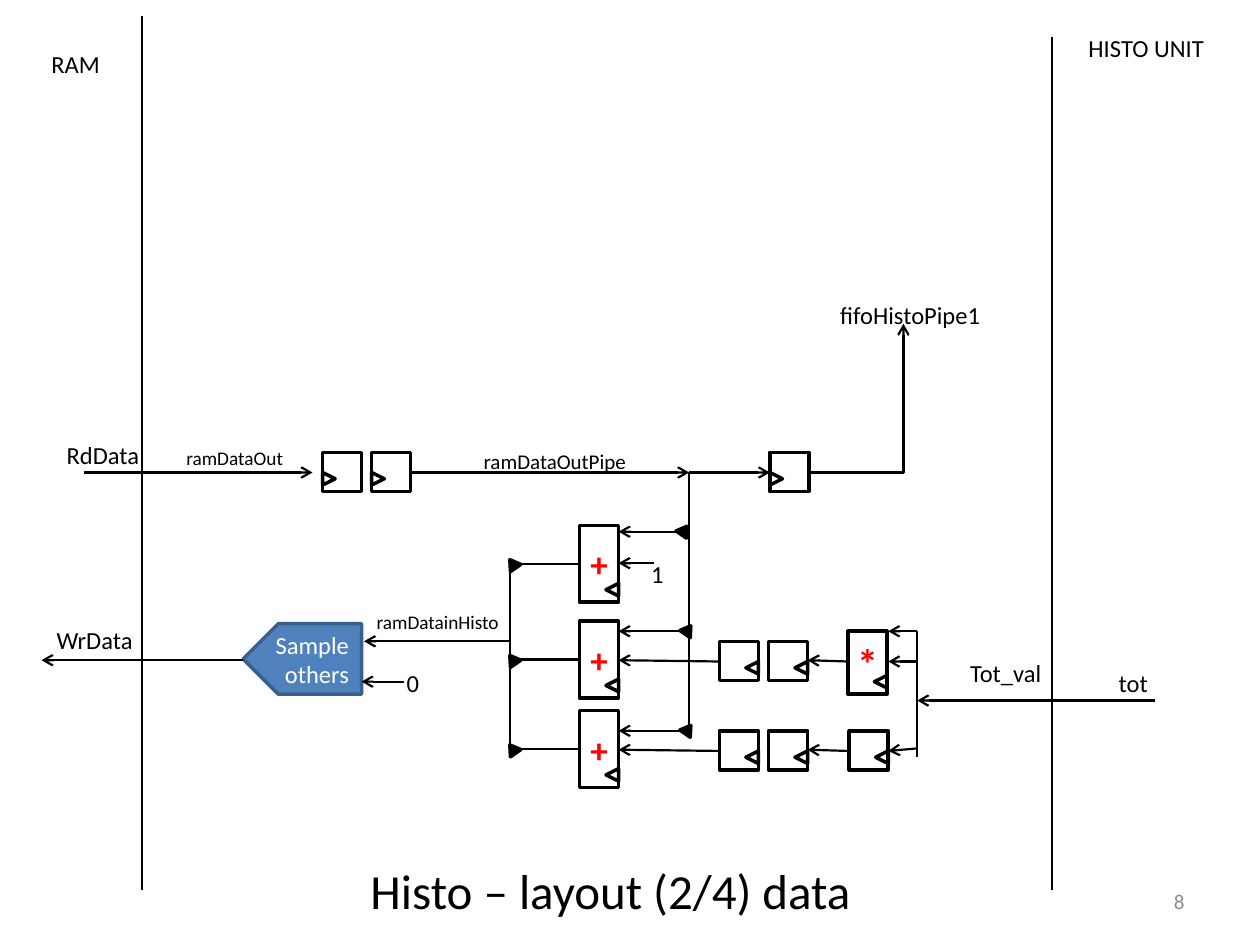
from pptx import Presentation
from pptx.dml.color import RGBColor
from pptx.enum.shapes import MSO_CONNECTOR as Connector, MSO_SHAPE as Shape
from pptx.enum.text import MSO_ANCHOR as Anchor, PP_ALIGN as Align
from pptx.oxml.ns import qn
from pptx.util import Inches, Pt
from lxml.etree import SubElement

BLACK, WHITE, RED, GREY = "000000", "FFFFFF", "FF0000", "8C8C8C"
BLUE, DARK_BLUE = "4F81BD", "3A5F8C"
BIT = 0.31
BUS_Y, OUTPUT_X, FEEDBACK_X, TOT_X = 3.75, 4.05, 5.47, 7.28
ADDER_X, ADDER_HEIGHT = 4.6, 0.61


def color(hex_text):
    return RGBColor.from_string(hex_text)


def write(shape, text, size, hex_text=BLACK, align=Align.LEFT, bold=False):
    shape.text_frame.text = text
    for paragraph in shape.text_frame.paragraphs:
        paragraph.alignment = align
        font = paragraph.font
        font.name, font.size, font.bold = "Calibri", Pt(size), bold
        font.color.rgb = color(hex_text)


def label(slide, box, text, size=14, hex_text=BLACK, align=Align.LEFT,
          anchor=Anchor.TOP, wrap=False):
    text_box = slide.shapes.add_textbox(*map(Inches, box))
    text_box.text_frame.word_wrap = wrap
    text_box.text_frame.vertical_anchor = anchor
    write(text_box, text, size, hex_text, align)


def outline(shapes, kind, box, fill=None, line=BLACK, rotation=0):
    shape = shapes.add_shape(kind, *map(Inches, box))
    shape.shadow.inherit = False
    shape.rotation = rotation
    if fill:
        shape.fill.solid()
        shape.fill.fore_color.rgb = color(fill)
    else:
        shape.fill.background()
    shape.line.color.rgb = color(line)
    shape.line.width = Pt(2)
    return shape


def wire(slide, start, end, arrow=False, kind=Connector.STRAIGHT):
    connector = slide.shapes.add_connector(kind, *map(Inches, (*start, *end)))
    connector.line.color.rgb = color(BLACK)
    connector.line.width = Pt(1.25)
    properties = connector._element.spPr
    if arrow:
        SubElement(properties.find(qn("a:ln")), qn("a:tailEnd"), type="arrow")
    SubElement(properties, qn("a:effectLst"))
    return connector


def register(slide, left, top, height=BIT, symbol=None, size=20, clock_left=False):
    shapes = slide.shapes.add_group_shape().shapes
    body = outline(shapes, Shape.RECTANGLE, (left, top, BIT, height))
    if symbol:
        frame = body.text_frame
        frame.margin_left = frame.margin_right = 0
        frame.vertical_anchor = Anchor.MIDDLE
        write(body, symbol, size, RED, Align.CENTER, True)
    clock_x = left if clock_left else left + BIT - 0.1
    outline(shapes, Shape.ISOSCELES_TRIANGLE, (clock_x, top + height - 0.15, 0.1, 0.1),
            rotation=90 if clock_left else 270)


def junction(slide, left, top, rotation):
    outline(slide.shapes, Shape.ISOSCELES_TRIANGLE, (left, top, 0.1, 0.08), BLACK,
            rotation=rotation)


def frame_region(slide):
    for x, top in ((1.13, 0.13), (8.35, 0.29)):
        wire(slide, (x, top), (x, 7.06))
    label(slide, (8.54, 0.21, 1.12, 0.34), "HISTO UNIT")
    label(slide, (0.31, 0.34, 0.59, 0.34), "RAM")
    label(slide, (1.06, 6.79, 7.57, 0.54), "Histo – layout (2/4) data", 28,
          align=Align.CENTER, anchor=Anchor.MIDDLE, wrap=True)
    label(slide, (7.17, 6.95, 2.33, 0.4), "8", 12, GREY, Align.RIGHT, Anchor.MIDDLE, True)


def read_path(slide):
    for left in (2.56, 2.95, 6.11):
        register(slide, left, 3.59, clock_left=True)
    for start, end in ((0.67, 2.48), (3.26, FEEDBACK_X), (FEEDBACK_X, 6.11)):
        wire(slide, (start, BUS_Y), (end, BUS_Y), True)
    bend = wire(slide, (6.42, BUS_Y), (7.17, 2.57), True, Connector.ELBOW)
    bend._element.spPr.find(qn("a:prstGeom")).set("prst", "bentConnector2")
    label(slide, (0.43, 3.44, 0.79, 0.34), "RdData")
    label(slide, (1.38, 3.49, 0.98, 0.29), "ramDataOut", 11)
    label(slide, (3.74, 3.51, 1.34, 0.3), "ramDataOutPipe", 12)
    label(slide, (6.57, 2.33, 1.33, 0.34), "fifoHistoPipe1")


def tot_path(slide):
    wire(slide, (9.17, 5.56), (TOT_X, 5.56), True)
    wire(slide, (TOT_X, 5.01), (TOT_X, 6.01))
    label(slide, (8.78, 5.25, 0.44, 0.34), "tot")
    label(slide, (7.6, 5.17, 0.78, 0.34), "Tot_val")
    register(slide, 6.73, 5.01, 0.5, "*", 24)
    register(slide, 6.74, 5.8)
    for start_y, end_y in ((5.01, 5.01), (5.25, 5.25), (5.94, 5.96)):
        wire(slide, (TOT_X, start_y), (7.05, end_y), True)
    for top in (5.09, 5.8):
        for left in (5.71, 6.1):
            register(slide, left, top)
        wire(slide, (6.73, top + 0.16), (6.41, top + 0.15), True)
        wire(slide, (5.71, top + 0.16), (ADDER_X + BIT, top + 0.15), True)


def adder(slide, top, feedback_y, junction_x):
    middle = top + ADDER_HEIGHT / 2
    register(slide, ADDER_X, top, ADDER_HEIGHT, "+")
    wire(slide, (FEEDBACK_X, feedback_y), (ADDER_X + BIT, feedback_y), True)
    wire(slide, (ADDER_X, middle), (OUTPUT_X, middle))
    junction(slide, junction_x, feedback_y - 0.05, 35)
    junction(slide, 4.02, middle - 0.04, 325)


def adder_region(slide):
    wire(slide, (FEEDBACK_X, 5.8), (FEEDBACK_X, BUS_Y))
    wire(slide, (OUTPUT_X, 4.47), (OUTPUT_X, 6.01))
    for top, feedback_y, junction_x in ((4.17, 4.22, 5.38), (4.93, 5.01, 5.41),
                                        (5.64, 5.8, 5.41)):
        adder(slide, top, feedback_y, junction_x)
    wire(slide, (5.19, 4.47), (ADDER_X + BIT, 4.47), True)
    label(slide, (5.07, 4.39, 0.3, 0.34), "1")


def write_path(slide):
    left, top, width, height = 1.93, 4.95, 0.94, 0.56
    selector = outline(slide.shapes, Shape.PENTAGON, (left, top, width, height),
                       BLUE, DARK_BLUE)
    selector._element.spPr.xfrm.set("flipH", "1")
    selector.text_frame.vertical_anchor = Anchor.MIDDLE
    write(selector, "Sample\nothers", 14, WHITE, Align.RIGHT)
    wire(slide, (OUTPUT_X, 5.09), (2.89, 5.09), True)
    wire(slide, (3.21, 5.41), (left + width, 5.41), True)
    wire(slide, (left, 5.24), (0.33, 5.24), True)
    label(slide, (3.13, 5.25, 0.3, 0.34), "0")
    label(slide, (2.89, 4.79, 1.18, 0.29), "ramDatainHisto", 11)
    label(slide, (0.35, 4.91, 0.81, 0.34), "WrData")


presentation = Presentation()
presentation.slide_width, presentation.slide_height = Inches(10), Inches(7.5)
histo_slide = presentation.slides.add_slide(presentation.slide_layouts[6])
for region in (frame_region, tot_path, adder_region, write_path, read_path):
    region(histo_slide)
presentation.save("out.pptx")
